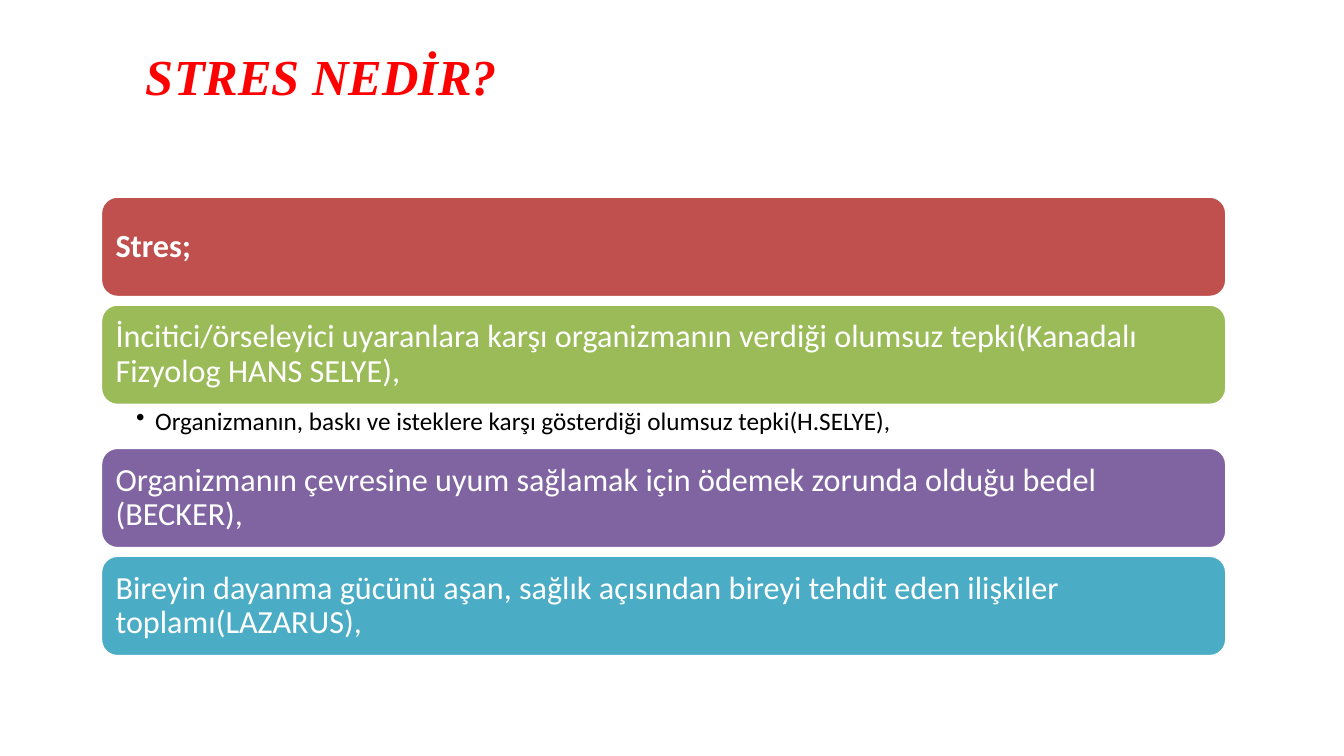
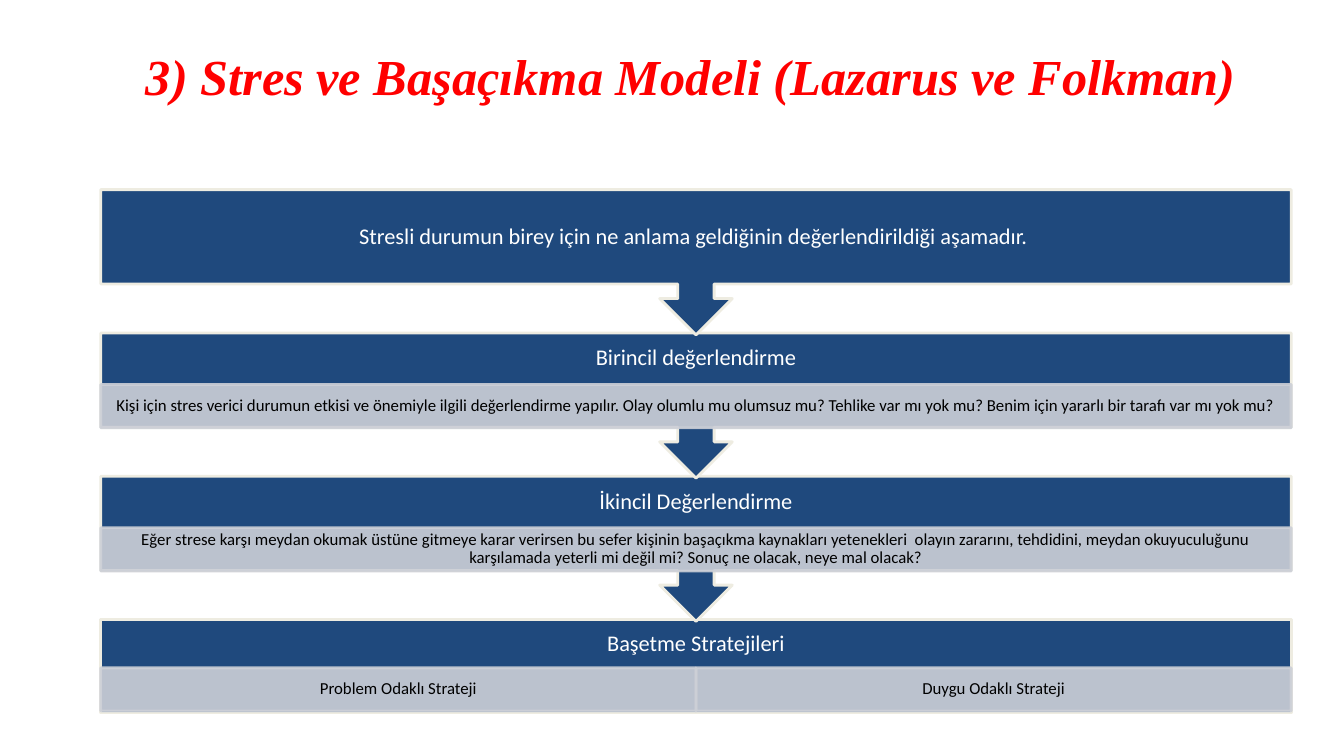
from lxml import etree
from pptx import Presentation
from pptx.dml.color import RGBColor
from pptx.enum.shapes import MSO_SHAPE
from pptx.enum.text import MSO_ANCHOR, PP_ALIGN
from pptx.oxml.ns import qn
from pptx.util import Cm, Pt

ROUNDED = MSO_SHAPE.ROUNDED_RECTANGLE
RECTANGLE = MSO_SHAPE.RECTANGLE
CALLOUT = MSO_SHAPE.DOWN_ARROW_CALLOUT
TOP, MIDDLE = MSO_ANCHOR.TOP, MSO_ANCHOR.MIDDLE
LEFT, CENTER = PP_ALIGN.LEFT, PP_ALIGN.CENTER


class Theme:
    white = RGBColor.from_string("FFFFFF")
    black = RGBColor.from_string("000000")
    red = RGBColor.from_string("FF0000")
    navy = RGBColor.from_string("1F497D")
    cream = RGBColor.from_string("EEECE1")
    mist = RGBColor.from_string("CDD0D7")
    bands = [RGBColor.from_string(code) for code in ("C0504D", "9BBB59", "8064A2", "4BACC6")]
    outline = Pt(2)
    mist_opacity = 90
    title = {"name": "Times New Roman", "size": Pt(36), "bold": True, "italic": True}
    band = {"name": "Calibri", "size": Pt(23)}
    band_bold = {**band, "bold": True}
    bullet = {"name": "Calibri", "size": Pt(18)}
    stage = {"name": "Calibri", "size": Pt(16)}
    detail = {"name": "Calibri", "size": Pt(12)}


def write_text(box, text, font_format, colour, insets, align=LEFT, anchor=MIDDLE, spacing=0.9):
    """Fill the box with one paragraph; insets are left, top, right, bottom in cm."""
    frame = box.text_frame
    frame.word_wrap = True
    frame.vertical_anchor = anchor
    for side, inset in zip(("left", "top", "right", "bottom"), insets):
        setattr(frame, f"margin_{side}", Cm(inset))
    para = frame.paragraphs[0]
    para.alignment = align
    para.line_spacing = spacing
    span = para.add_run()
    span.text = text
    for name, value in font_format.items():
        setattr(span.font, name, value)
    span.font.color.rgb = colour
    return para


def add_block(page, kind, place, fill, line, opacity=100):
    """Add a filled, outlined shape; place is left, top, width, height in cm."""
    block = page.shapes.add_shape(kind, *map(Cm, place))
    block.shadow.inherit = False
    block.fill.solid()
    block.fill.fore_color.rgb = fill
    block.line.color.rgb = line
    block.line.width = Theme.outline
    if opacity < 100:
        for colour in block._element.spPr.iter(qn("a:srgbClr")):
            etree.SubElement(colour, qn("a:alpha"), val=str(opacity * 1000))
    return block


deck = Presentation()
deck.slide_width, deck.slide_height = Cm(33.87), Cm(19.05)

pages = []
for title in ("STRES NEDİR?", "3) Stres ve Başaçıkma Modeli (Lazarus ve Folkman)"):
    page = deck.slides.add_slide(deck.slide_layouts[6])
    box = page.shapes.add_textbox(Cm(3.68), Cm(1.14), Cm(27.64), Cm(1.55))
    write_text(box, title, Theme.title, Theme.red, (0, 0, 0, 0), anchor=TOP, spacing=1.0)
    pages.append(page)
definition_page, model_page = pages
left = 2.54

# Definitions of stress: coloured bands, one followed by a bullet line
definitions = [
    ("Stres;", Theme.band_bold, None),
    ("İncitici/örseleyici uyaranlara karşı organizmanın verdiği olumsuz tepki"
     "(Kanadalı Fizyolog HANS SELYE),", Theme.band,
     "Organizmanın, baskı ve isteklere karşı gösterdiği olumsuz tepki(H.SELYE),"),
    ("Organizmanın çevresine uyum sağlamak için ödemek zorunda olduğu bedel (BECKER),",
     Theme.band, None),
    ("Bireyin dayanma gücünü aşan, sağlık açısından bireyi tehdit eden ilişkiler "
     "toplamı(LAZARUS),", Theme.band, None),
]
band_width, band_height, band_gap, bullet_height = 28.37, 2.54, 0.18, 1.07
top = 4.95
for (text, font_format, bullet), colour in zip(definitions, Theme.bands):
    band = add_block(definition_page, ROUNDED, (left, top, band_width, band_height),
                     colour, Theme.white)
    write_text(band, text, font_format, Theme.white, (0.25,) * 4)
    top += band_height
    if bullet:
        place = (left, top, band_width, bullet_height)
        box = definition_page.shapes.add_textbox(*map(Cm, place))
        para = write_text(box, bullet, Theme.bullet, Theme.black,
                          (0.89, 0.08, 0.46, 0.08), anchor=TOP)
        properties = para._p.get_or_add_pPr()
        properties.set("marL", str(Cm(0.48)))
        properties.set("indent", str(-Cm(0.48)))
        etree.SubElement(properties, qn("a:buChar"), char="•")
        top += bullet_height
    else:
        top += band_gap

# Coping model: heading, distance from its top to the details, details
stages = [
    ("Stresli durumun birey için ne anlama geldiğinin değerlendirildiği aşamadır. ", 0, []),
    ("Birincil değerlendirme", 1.3,
     ["Kişi için stres verici durumun etkisi ve önemiyle ilgili değerlendirme yapılır. "
      "Olay olumlu mu olumsuz mu? Tehlike var mı yok mu? "
      "Benim için yararlı bir tarafı var mı yok mu?"]),
    ("İkincil Değerlendirme", 1.3,
     ["Eğer strese karşı meydan okumak üstüne gitmeye karar verirsen bu sefer kişinin "
      "başaçıkma kaynakları yetenekleri  olayın zararını, tehdidini, meydan okuyuculuğunu "
      "karşılamada yeterli mi değil mi? Sonuç ne olacak, neye mal olacak?"]),
    ("Başetme Stratejileri", 1.22, ["Problem Odaklı Strateji", "Duygu Odaklı Strateji"]),
]
stage_width, stage_pitch, first_top = 30, 3.61, 4.78
body_height, callout_height, detail_height = 2.36, 3.66, 1.09
stage_inset = 0.3
last = len(stages) - 1
# Built from the bottom up, so that each arrow tip lies over the stage below
for index, (heading, detail_offset, details) in reversed(list(enumerate(stages))):
    top = first_top + index * stage_pitch
    kind, height = (RECTANGLE, body_height) if index == last else (CALLOUT, callout_height)
    stage = add_block(model_page, kind, (left, top, stage_width, height),
                      Theme.navy, Theme.cream)
    bottom_inset = stage_inset + (detail_height if details else 0)
    write_text(stage, heading, Theme.stage, Theme.white,
               (stage_inset, stage_inset, stage_inset, bottom_inset), CENTER)
    for column, text in enumerate(details):
        width = stage_width / len(details)
        place = (left + column * width, top + detail_offset, width, detail_height)
        detail = add_block(model_page, RECTANGLE, place, Theme.mist, Theme.mist,
                           Theme.mist_opacity)
        write_text(detail, text, Theme.detail, Theme.black, (0.23, 0.05, 0.23, 0.05), CENTER)

deck.save("out.pptx")
